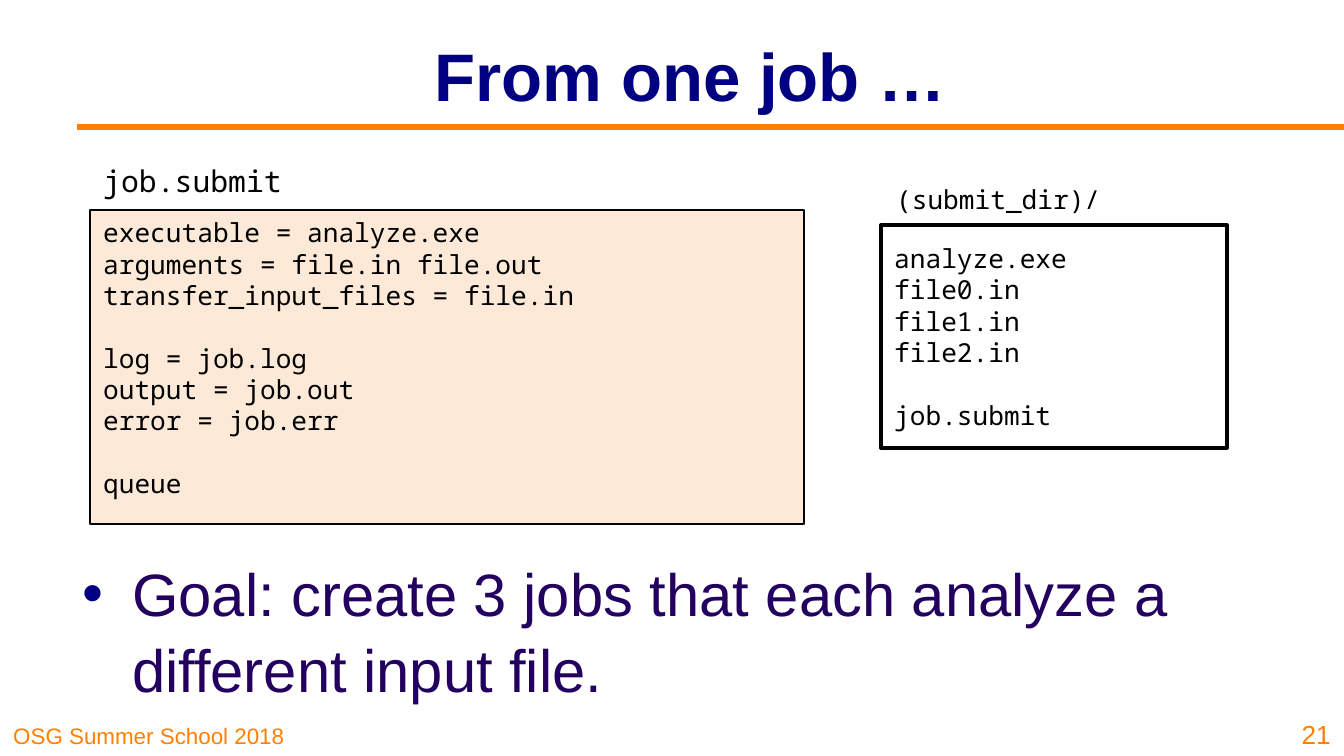
from lxml import etree
from pptx import Presentation
from pptx import util as u
from pptx.dml.color import RGBColor
from pptx.enum import shapes, text
from pptx.oxml.ns import qn

SLIDE_W, SLIDE_H = 1344, 756
EMU_PER_PX = 914400 / 134.4

NAVY = RGBColor(0x00, 0x00, 0x80)
INDIGO = RGBColor(0x23, 0x00, 0x5F)
ORANGE = RGBColor(0xFF, 0x80, 0x00)
PEACH = RGBColor(0xFC, 0xE9, 0xD7)
BLACK = RGBColor(0, 0, 0)
WHITE = RGBColor(0xFF, 0xFF, 0xFF)
SANS, MONO = "Arial", "Noto Sans Mono"
CODE_SIZE, CODE_GAP = 14, 16.8

TITLE = "From one job …"
GOAL = "Goal: create 3 jobs that each analyze a different input file."
FOOTER, PAGE = "OSG Summer School 2018", "21"
# Each inner list is a block of lines, set off from the next by one line's height.
SUBMIT_FILE = [
    ["executable = analyze.exe", "arguments = file.in file.out",
     "transfer_input_files = file.in"],
    ["log = job.log", "output = job.out", "error = job.err"],
    ["queue"],
]
DIRECTORY = [["analyze.exe", "file0.in", "file1.in", "file2.in"], ["job.submit"]]
LABELS = [  # words, box, size
    ("job.submit", (90, 156, 208, 42), 16),
    ("(submit_dir)/", (883, 177, 292, 44), 14),
]
LISTINGS = [  # blocks, box, fill, line width, anchor
    (SUBMIT_FILE, (90, 210, 714, 314), PEACH, 0.75, text.MSO_ANCHOR.TOP),
    (DIRECTORY, (881, 225, 346, 223), WHITE, 2, text.MSO_ANCHOR.MIDDLE),
]


def px(n):
    return u.Emu(round(n * EMU_PER_PX))


def write(paragraph, words, size, color, font=SANS, bold=False,
          align=text.PP_ALIGN.LEFT):
    paragraph.alignment = align
    run = paragraph.add_run()
    run.text = words
    run.font.name, run.font.size = font, u.Pt(size)
    run.font.bold, run.font.color.rgb = bold, color


def text_frame(slide, box, anchor=text.MSO_ANCHOR.TOP, wrap=True):
    frame = slide.shapes.add_textbox(*map(px, box)).text_frame
    frame.word_wrap, frame.vertical_anchor = wrap, anchor
    return frame


def add_listing(slide, blocks, box, fill, line_width, anchor):
    panel = slide.shapes.add_shape(shapes.MSO_SHAPE.RECTANGLE, *map(px, box))
    panel.shadow.inherit = False
    panel.fill.solid()
    panel.fill.fore_color.rgb = fill
    panel.line.color.rgb, panel.line.width = BLACK, u.Pt(line_width)
    frame = panel.text_frame
    frame.word_wrap, frame.vertical_anchor = True, anchor
    lines = [(line, b > 0 and i == 0)
             for b, block in enumerate(blocks) for i, line in enumerate(block)]
    for n, (line, opens_block) in enumerate(lines):
        paragraph = frame.add_paragraph() if n else frame.paragraphs[0]
        if opens_block:
            paragraph.space_before = u.Pt(CODE_GAP)
        write(paragraph, line, CODE_SIZE, BLACK, MONO)


def add_bullet(paragraph, color, indent):
    props = paragraph._p.get_or_add_pPr()
    props.set("marL", str(px(indent)))
    props.set("indent", str(-px(indent)))
    bullet_color = etree.SubElement(props, qn("a:buClr"))
    etree.SubElement(bullet_color, qn("a:srgbClr"), val=str(color))
    etree.SubElement(props, qn("a:buFont"), typeface=SANS)
    etree.SubElement(props, qn("a:buChar"), char="•")


def main():
    deck = Presentation()
    deck.slide_width, deck.slide_height = px(SLIDE_W), px(SLIDE_H)
    slide = deck.slides.add_slide(deck.slide_layouts[5])

    rule = slide.shapes.add_connector(
        shapes.MSO_CONNECTOR.STRAIGHT, px(77), px(127), px(SLIDE_W), px(127))
    rule.line.color.rgb, rule.line.width = ORANGE, u.Pt(3)
    etree.SubElement(rule._element.spPr, qn("a:effectLst"))

    title = slide.shapes.title
    title.left, title.top, title.width, title.height = map(px, (180, 12, 1021, 126))
    title.text_frame.vertical_anchor = text.MSO_ANCHOR.MIDDLE
    write(title.text_frame.paragraphs[0], TITLE, 36, NAVY, bold=True,
          align=text.PP_ALIGN.CENTER)

    for listing in LISTINGS:
        add_listing(slide, *listing)
    for words, box, size in LABELS:
        label = text_frame(slide, box, wrap=False)
        write(label.paragraphs[0], words, size, BLACK, MONO)

    goal = text_frame(slide, (69, 547, 1210, 163)).paragraphs[0]
    add_bullet(goal, NAVY, 50)
    goal.line_spacing = 1.05
    write(goal, GOAL, 32, INDIGO)

    footer = text_frame(slide, (0, 714, 333, 42), text.MSO_ANCHOR.BOTTOM)
    write(footer.paragraphs[0], FOOTER, 12, ORANGE)
    page = text_frame(slide, (1282, 705, 62, 51), text.MSO_ANCHOR.BOTTOM)
    write(page.paragraphs[0], PAGE, 14, ORANGE, align=text.PP_ALIGN.RIGHT)

    deck.save("out.pptx")


if __name__ == "__main__":
    main()
